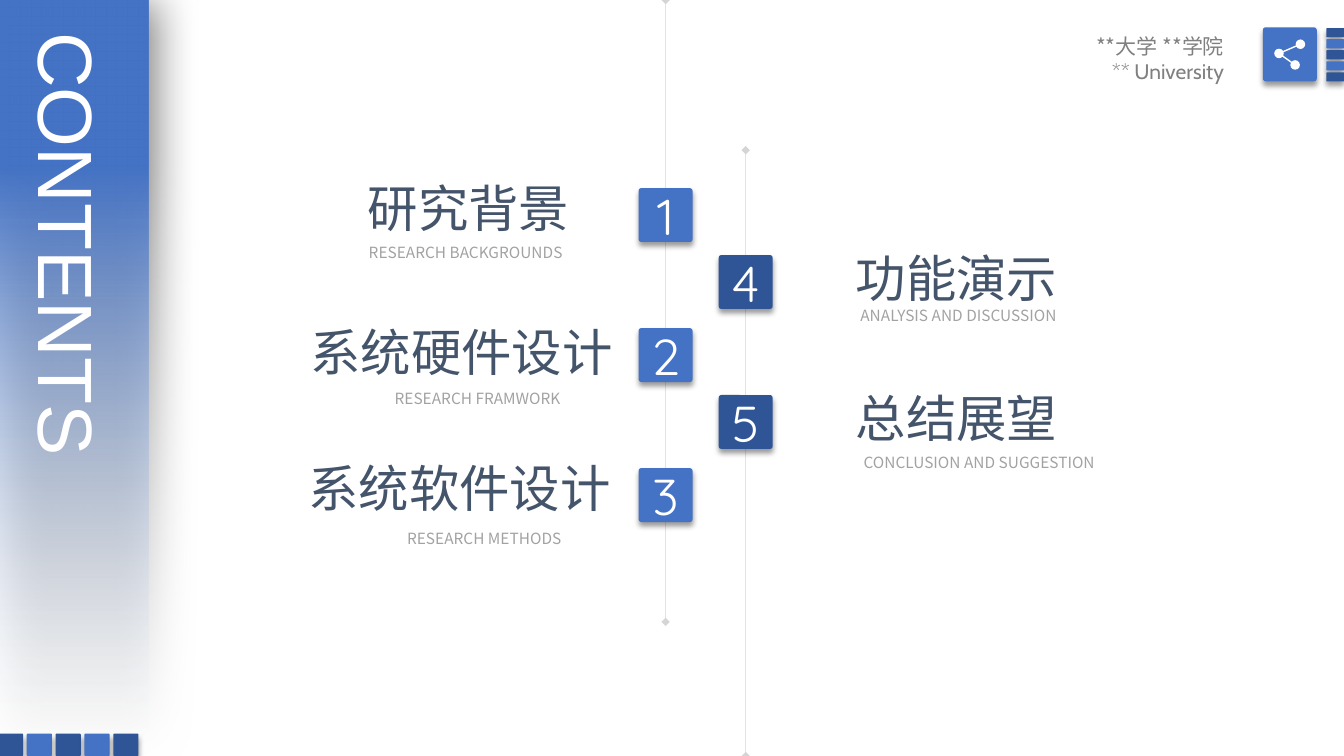
from pptx import Presentation
from pptx.dml.color import RGBColor
from pptx.enum.shapes import MSO_CONNECTOR, MSO_SHAPE
from pptx.enum.text import MSO_ANCHOR, MSO_AUTO_SIZE, PP_ALIGN
from pptx.oxml import parse_xml
from pptx.oxml.ns import nsdecls, qn
from pptx.util import Pt
from lxml.etree import SubElement

COLORS = {"blue": "4472C4", "navy": "2F5597", "pale": "F7FAFD", "white": "FFFFFF",
          "slate": "44546A", "gray": "808080", "silver": "A2A2A2", "black": "000000"}
SANS = "Noto Sans CJK SC"
HEADING = {"size": 36, "name": SANS, "color": "slate"}
CAPTION = {"size": 11, "name": SANS, "color": "silver"}
NUMBER = {"size": 36, "name": "Quicksand", "color": "white"}
SCHOOL = {"size": 15, "name": SANS, "color": "gray"}
BADGE = 38.5

# number, heading, its left, top and width, caption, its left, top and width
LEFT_ITEMS = [
    ("1", "研究背景", (255.6, 123.1, 160), "RESEARCH BACKGROUNDS", (252.7, 169.9, 160)),
    ("2", "系统硬件设计", (214.6, 226.1, 232.6), "RESEARCH FRAMWORK", (270.7, 274.3, 141)),
    ("3", "系统软件设计", (213.1, 323.3, 232.6), "RESEARCH METHODS", (280.8, 374.4, 130.3)),
]
RIGHT_ITEMS = [
    ("4", "功能演示", (604.1, 172.8, 160), "ANALYSIS AND DISCUSSION", (601.2, 215.3, 167)),
    ("5", "总结展望", (604.1, 272.9, 160), "CONCLUSION AND SUGGESTION", (603.4, 320.4, 192.2)),
]


def rgb(color):
    return RGBColor.from_string(COLORS[color])


def add_shadow(sp, alpha, blur, dist, angle):
    sp._element.spPr.append(parse_xml(
        f'<a:effectLst {nsdecls("a")}><a:outerShdw blurRad="{Pt(blur)}" dist="{Pt(dist)}" '
        f'dir="{angle * 60000}" algn="ctr" rotWithShape="0"><a:srgbClr val="{COLORS["black"]}">'
        f'<a:alpha val="{alpha * 1000}"/></a:srgbClr></a:outerShdw></a:effectLst>'))


def add_filled(s, kind, box, color):
    sp = s.shapes.add_shape(kind, *map(Pt, box))
    sp.fill.solid()
    sp.fill.fore_color.rgb = rgb(color)
    sp.line.fill.background()
    if kind == MSO_SHAPE.ROUNDED_RECTANGLE:
        sp.adjustments[0] = 0.05
        add_shadow(sp, 40, 4, 3, 90)
    else:
        sp.shadow.inherit = False
    return sp


def add_line(s, start, end, color, width):
    line = s.shapes.add_connector(MSO_CONNECTOR.STRAIGHT, *map(Pt, (*start, *end)))
    line.line.color.rgb = rgb(color)
    line.line.width = Pt(width)
    SubElement(line._element.spPr, qn("a:effectLst"))
    return line


def write(p, text, style, align):
    p.alignment = align
    r = p.add_run()
    r.text = text
    for key in ("size", "name"):
        setattr(r.font, key, Pt(style[key]) if key == "size" else style[key])
    r.font.color.rgb = rgb(style["color"])
    SubElement(r._r.get_or_add_rPr(), qn("a:ea")).set("typeface", style["name"])


def add_text(s, box, text, style, align=PP_ALIGN.LEFT, wrap=False):
    tf = s.shapes.add_textbox(*map(Pt, box)).text_frame
    tf.word_wrap = wrap
    write(tf.paragraphs[0], text, style, align)
    return tf


def add_stripes(s, box, step_x, step_y):
    """Draw five alternating tiles, the first one in the given box."""
    x, y, w, h = box
    for i in range(5):
        add_filled(s, MSO_SHAPE.ROUNDED_RECTANGLE, (x + i * step_x, y + i * step_y, w, h),
                   ("navy", "blue")[i % 2])


def add_side_panel(s, box):
    x, y, w, h = box
    panel = add_filled(s, MSO_SHAPE.RECTANGLE, box, "blue")
    panel.fill.gradient()
    grad = panel._element.spPr.find(qn("a:gradFill"))
    grad.getparent().replace(grad, parse_xml(
        f'<a:gradFill {nsdecls("a")} rotWithShape="1"><a:gsLst>'
        f'<a:gs pos="0"><a:srgbClr val="{COLORS["blue"]}"/></a:gs>'
        f'<a:gs pos="22000"><a:srgbClr val="{COLORS["blue"]}"/></a:gs>'
        f'<a:gs pos="100000"><a:srgbClr val="{COLORS["pale"]}"><a:alpha val="0"/></a:srgbClr>'
        '</a:gs></a:gsLst><a:lin ang="5400000" scaled="0"/></a:gradFill>'))
    panel._element.spPr.remove(panel._element.spPr.find(qn("a:effectLst")))
    add_shadow(panel, 50, 31, 6, 7)

    title = s.shapes.title
    panel._element.addnext(title._element)
    title.left, title.top, title.width, title.height = map(
        Pt, (x + 8.6, y + 19.4, 81.4, 355.7))
    tf = title.text_frame
    for key, value in {"word_wrap": True, "auto_size": MSO_AUTO_SIZE.NONE,
                       "vertical_anchor": MSO_ANCHOR.TOP}.items():
        setattr(tf, key, value)
    tf._txBody.bodyPr.set("vert", "eaVert")
    write(tf.paragraphs[0], "CONTENTS",
          {"size": 55, "name": "Arial", "color": "white"}, PP_ALIGN.LEFT)
    add_stripes(s, (x - 1.5, y + h - 13, 18, 16), 20.6, 0)


def add_timeline(s, box, first_badge, color, items):
    """Draw a vertical axis in the box, with a badge and texts for each item."""
    x, y, w, h = box
    axis = add_line(s, (x + w / 2, y), (x + w / 2, y + h), "gray", 0.25)
    ln = axis.line._ln
    SubElement(ln.find(".//" + qn("a:srgbClr")), qn("a:alpha")).set("val", "33000")
    for end in ("a:headEnd", "a:tailEnd"):
        SubElement(ln, qn(end)).set("type", "diamond")
    for i, (number, heading, heading_at, caption, caption_at) in enumerate(items):
        badge = add_filled(s, MSO_SHAPE.ROUNDED_RECTANGLE,
                           (x, first_badge + i * 100, w, BADGE), color)
        badge.text_frame.vertical_anchor = MSO_ANCHOR.MIDDLE
        write(badge.text_frame.paragraphs[0], number, NUMBER, PP_ALIGN.CENTER)
        add_text(s, (*heading_at, 51), heading, HEADING)
        add_text(s, (*caption_at, 21), caption, CAPTION, PP_ALIGN.CENTER)


def add_school_header(s, box):
    x, y, w, h = box
    tf = add_text(s, (x, y + 0.6, 170.6, 45.4), "**大学 **学院", SCHOOL, PP_ALIGN.RIGHT, True)
    tf.paragraphs[0]._p.get_or_add_pPr().set("marR", str(Pt(20)))
    write(tf.add_paragraph(), "** University", {**SCHOOL, "name": "Cabin"}, PP_ALIGN.RIGHT)

    icon_x = x + 171.3
    add_filled(s, MSO_SHAPE.ROUNDED_RECTANGLE, (icon_x, y, BADGE, h), "blue")
    hub, *leaves = [(icon_x + dx, y + dy) for dx, dy in ((11.5, 18.6), (26.8, 12), (23, 26.8))]
    for leaf in leaves:
        add_line(s, hub, leaf, "white", 1)
    for cx, cy in (hub, *leaves):
        add_filled(s, MSO_SHAPE.OVAL, (cx - 3.4, cy - 3.4, 6.8, 6.8), "white")
    add_stripes(s, (x + w - 12.5, y + 0.5, 12.5, 6.5), 0, 7.9)


def main():
    prs = Presentation()
    prs.slide_width, prs.slide_height = Pt(960), Pt(540)
    s = prs.slides.add_slide(prs.slide_layouts[5])
    add_side_panel(s, (0, 0, 105.8, 537))
    add_timeline(s, (456.2, 0, BADGE, 444.2), 134.4, "blue", LEFT_ITEMS)
    add_timeline(s, (513.4, 107.3, BADGE, 432.7), 182.2, "navy", RIGHT_ITEMS)
    add_school_header(s, (730.8, 19.6, 229.2, BADGE))
    prs.save("out.pptx")


if __name__ == "__main__":
    main()
